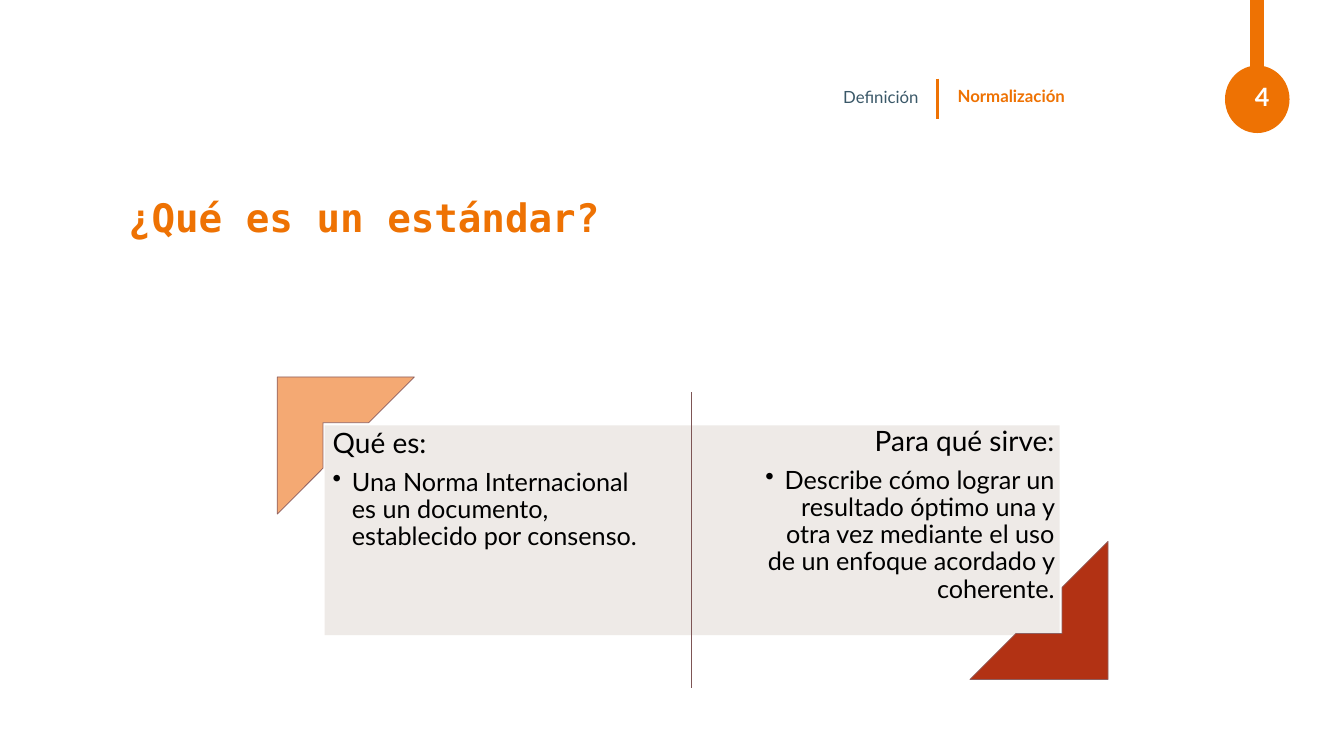
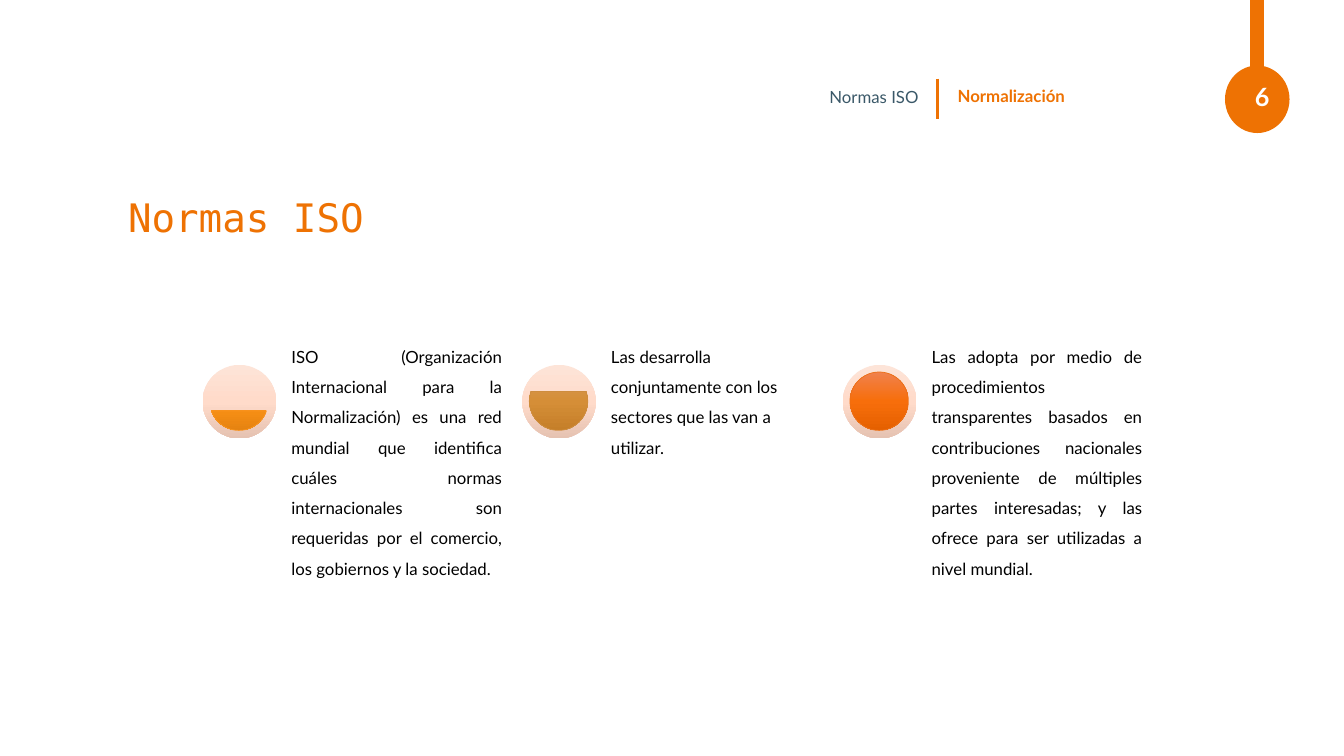
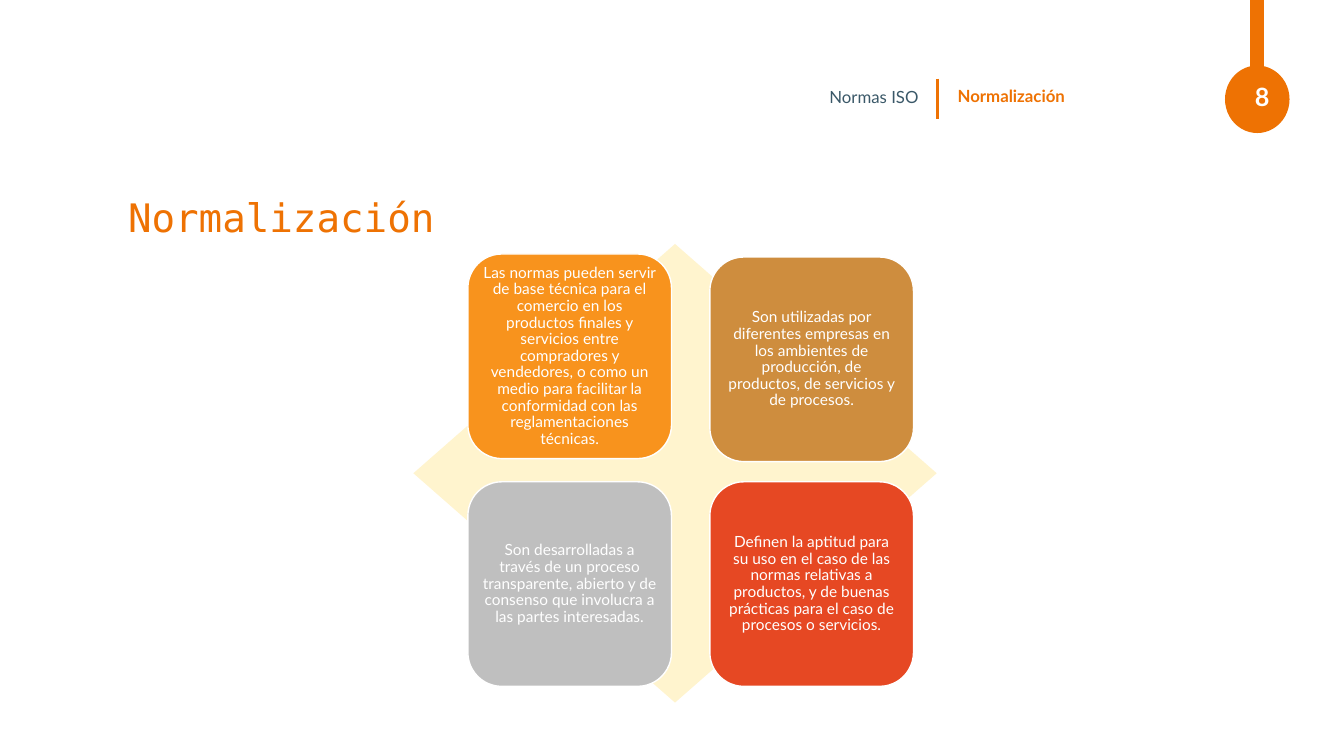
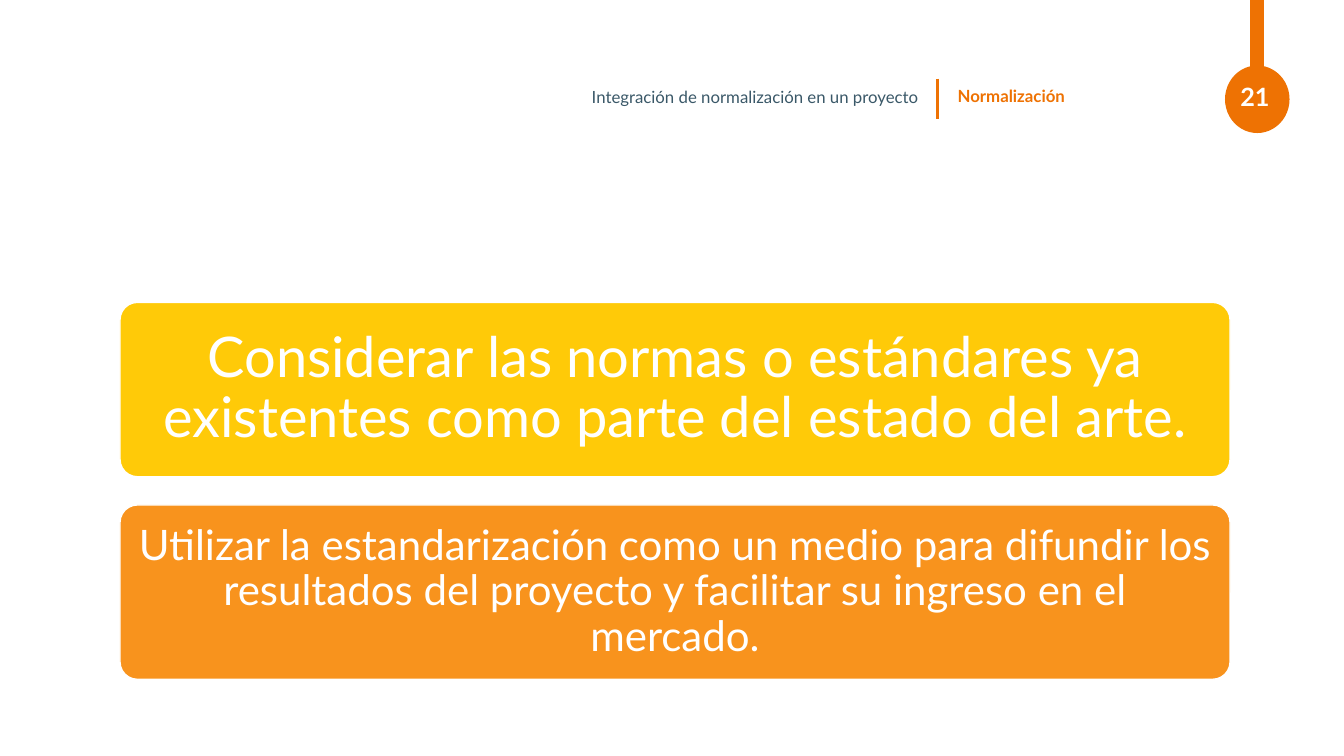
import copy
import pptx
import pptx.util
import pptx.dml.color
import pptx.enum.shapes
import pptx.enum.text
import pptx.oxml.ns
import lxml.etree

PX = 9144  # one px is a hundredth of an inch
KIND = pptx.enum.shapes.MSO_SHAPE
ALIGN = pptx.enum.text.PP_ALIGN
MID = pptx.enum.text.MSO_ANCHOR.MIDDLE
TOP = pptx.enum.text.MSO_ANCHOR.TOP
TAG = pptx.oxml.ns.qn
paint = pptx.dml.color.RGBColor.from_string

ORANGE, AMBER, OCHRE = "EE7203", "F8931D", "CE8D3E"
WHITE, BLACK, SLATE = "FFFFFF", "000000", "3A5868"
SANS, MONO = "Lato", "DejaVu Sans Mono"


def form(slide, kind, box, fill, edge=None, width=1):
    """Add a preset shape; fill is one colour or a list of gradient colours."""
    shape = slide.shapes.add_shape(kind, *[n * PX for n in box])
    shape.shadow.inherit = False
    if isinstance(fill, str):
        shape.fill.solid()
        shape.fill.fore_color.rgb = paint(fill)
    else:
        shape.fill.gradient()
        shape.fill.gradient_angle = 270
        stops = shape.element.find(".//" + TAG("a:gsLst"))
        stops.insert(1, copy.deepcopy(stops[0]))
        for n, stop in enumerate(shape.fill.gradient_stops):
            stop.color.rgb = paint(fill[n])
            stop.position = n / 2
    if edge:
        shape.line.color.rgb = paint(edge)
        shape.line.width = pptx.util.Pt(width)
    else:
        shape.line.fill.background()
    return shape


def say(shape, text, size, color, align=ALIGN.LEFT, inset=None, anchor=MID,
        space=0.9, bold=None, font=SANS):
    """Write text into a shape, one paragraph per line."""
    frame = shape.text_frame
    frame.text = text
    frame.word_wrap = True
    frame.auto_size = pptx.enum.text.MSO_AUTO_SIZE.NONE
    frame.vertical_anchor = anchor
    if inset is not None:
        frame.margin_left = frame.margin_right = inset * PX
        frame.margin_top = frame.margin_bottom = inset * PX
    for para in frame.paragraphs:
        para.alignment = align
        para.line_spacing = space
        for run in para.runs:
            run.font.size = pptx.util.Pt(size)
            run.font.name = font
            run.font.bold = bold
            run.font.color.rgb = paint(color)
    return frame


deck = pptx.Presentation()
deck.slide_width, deck.slide_height = 1333 * PX, 750 * PX
master = deck.slide_master
titled, blank = deck.slide_layouts[5], deck.slide_layouts[6]

# Slides with their titles and page headers
heads = [
    ("¿Qué es un estándar?", "Definición", "4"),
    ("Normas ISO", "Normas ISO", "6"),
    ("Normalización", "Normas ISO", "8"),
    (None, "Integración de normalización en un proyecto", "21"),
]
slides = []
for title, topic, page in heads:
    slide = deck.slides.add_slide(titled if title else blank)
    slides.append(slide)
    if title:
        name = slide.shapes.title
        name.left, name.top, name.width, name.height = [
            n * PX for n in (117, 164, 1043, 108)]
        say(name, title, 28, ORANGE, font=MONO, bold=title.startswith("¿"))
    for box, text, size, color, align, bold in [
        ((488, 78, 433, 39), topic, 12, SLATE, ALIGN.RIGHT, False),
        ((940, 76, 268, 39), "Normalización", 12, ORANGE, ALIGN.LEFT, True),
        ((1215, 80, 54, 32), page, 18, WHITE, ALIGN.RIGHT, True),
    ]:
        label = slide.shapes.add_textbox(*[n * PX for n in box])
        say(label, text, size, color, align, bold=bold,
            space=0.9 if color == SLATE else 1.0)
first, second, third, last = slides

# Slide 1: two columns between corner frames
form(first, KIND.RECTANGLE, (322, 422, 729, 208), "EEEAE7")
for box, align, text in [
    ((326, 422, 324, 241), ALIGN.LEFT,
     "Qué es:\nUna Norma Internacional es un documento, "
     "establecido por consenso."),
    ((726, 420, 324, 246), ALIGN.RIGHT,
     "Para qué sirve:\nDescribe cómo lograr un resultado óptimo una y otra "
     "vez mediante el uso de un enfoque acordado y coherente."),
]:
    label = first.shapes.add_textbox(*[n * PX for n in box])
    lead, point = say(label, text, 18, BLACK, align, 4, TOP).paragraphs
    lead.runs[0].font.size = pptx.util.Pt(20)
    lead.space_after = pptx.util.Pt(7)
    props = point._p.get_or_add_pPr()
    props.set("marL", str(19 * PX))
    props.set("indent", str(-19 * PX))
    lxml.etree.SubElement(props, TAG("a:buChar")).set("char", "•")
form(first, KIND.HALF_FRAME, (275, 374, 136, 136), "F4A973", "8E6060", 0.5)
frame = form(first, KIND.HALF_FRAME, (962, 537, 137, 137), "B23214",
             "8E6060", 0.5)
frame.rotation = 180

# Page badge and lines; all but the divider go to the master
shared = [form(first, KIND.OVAL, (1215, 65, 64, 67), ORANGE)]
for x, top, end, color, width in [
    (1247, 85, 0, ORANGE, 10),
    (930, 78, 118, ORANGE, 2.25),
    (686, 389, 683, "7D5555", 1),
]:
    line = first.shapes.add_connector(
        pptx.enum.shapes.MSO_CONNECTOR.STRAIGHT,
        x * PX, top * PX, x * PX, end * PX)
    line.line.color.rgb = paint(color)
    line.line.width = pptx.util.Pt(width)
    lxml.etree.SubElement(line.element.spPr, TAG("a:effectLst"))
    if color == ORANGE:
        shared.append(line)
for n, part in enumerate(shared):
    part.element.find(".//" + TAG("p:cNvPr")).set("id", str(20 + n))
    master.shapes.element.append(part.element)

# Slide 2: three circles that fill up
for n, (angles, fill, edge, align, text) in enumerate([
    ((11.683, 96.317), ["FC9F4F", "FF9416", "E58311"], AMBER, ALIGN.JUSTIFY,
     "ISO (Organización Internacional para la Normalización) es una red "
     "mundial que identifica cuáles normas internacionales son requeridas "
     "por el comercio, los gobiernos y la sociedad."),
    ((204.317, 119.683), ["D49A5D", "D58E37", "C57F29"], OCHRE, ALIGN.LEFT,
     "Las desarrolla conjuntamente con los sectores que las van a utilizar."),
    ((162, 162), ["F0814D", "F76E0B", "E56000"], "EC7016", ALIGN.JUSTIFY,
     "Las adopta por medio de procedimientos transparentes basados en "
     "contribuciones nacionales proveniente de múltiples partes interesadas; "
     "y las ofrece para ser utilizadas a nivel mundial."),
]):
    x = 201 + n * 635 // 2
    form(second, KIND.OVAL, (x, 362, 73, 73), ["FDE4D8", "FFDBCA", "E5C2B1"])
    chord = form(second, KIND.CHORD, (x + 7, 369, 58, 58), fill, edge, 0.5)
    chord.adjustments[0], chord.adjustments[1] = angles
    label = second.shapes.add_textbox(
        *[n * PX for n in (x + 85, 331, 215, 295)])
    say(label, text, 12, BLACK, align, 3, TOP, 1.5)

# Slide 3: four cards on a diamond
form(third, KIND.DIAMOND, (410, 242, 519, 455), "FFF4CE")
for x, y, fill, text in [
    (464, 252, AMBER,
     "Las normas pueden servir de base técnica para el comercio en los "
     "productos finales y servicios entre compradores y vendedores, o como "
     "un medio para facilitar la conformidad con las reglamentaciones "
     "técnicas."),
    (704, 255, OCHRE,
     "Son utilizadas por diferentes empresas en los ambientes de producción, "
     "de productos, de servicios y de procesos."),
    (464, 478, "BFBFBF",
     "Son desarrolladas a través de un proceso transparente, abierto y de "
     "consenso que involucra a las partes interesadas."),
    (704, 478, "E64823",
     "Definen la aptitud para su uso en el caso de las normas relativas a "
     "productos, y de buenas prácticas para el caso de procesos o "
     "servicios."),
]:
    card = form(third, KIND.ROUNDED_RECTANGLE, (x, y, 202, 203), fill, WHITE)
    say(card, text, 11, WHITE, ALIGN.CENTER, 5)

# Slide 4: two wide bars
for y, fill, size, inset, text in [
    (300, "FFCA08", 40, 17,
     "Considerar las normas o estándares ya existentes como parte del estado "
     "del arte."),
    (501, AMBER, 30, 12,
     "Utilizar la estandarización como un medio para difundir los resultados "
     "del proyecto y facilitar su ingreso en el mercado."),
]:
    bar = form(last, KIND.ROUNDED_RECTANGLE, (119, y, 1101, 173), fill, WHITE)
    bar.adjustments[0] = 0.1
    say(bar, text, size, WHITE, ALIGN.CENTER, inset)

deck.save("out.pptx")
